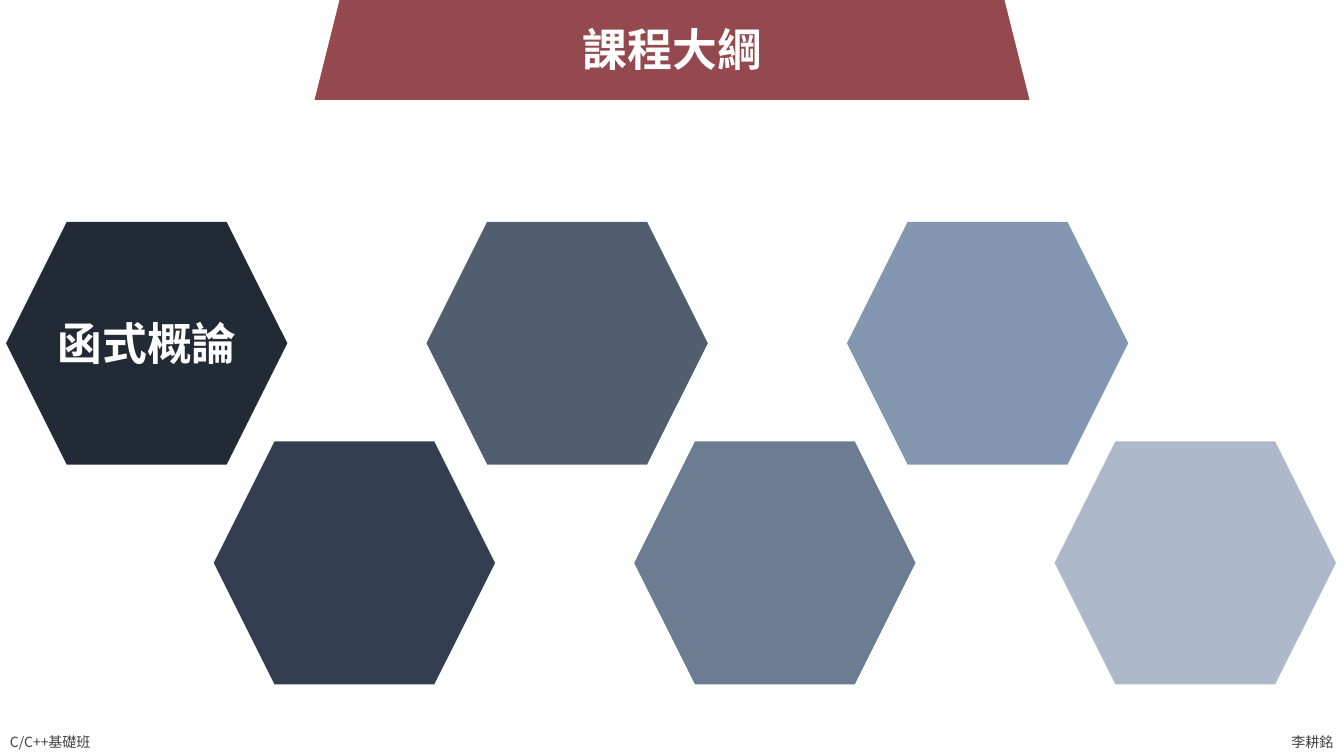
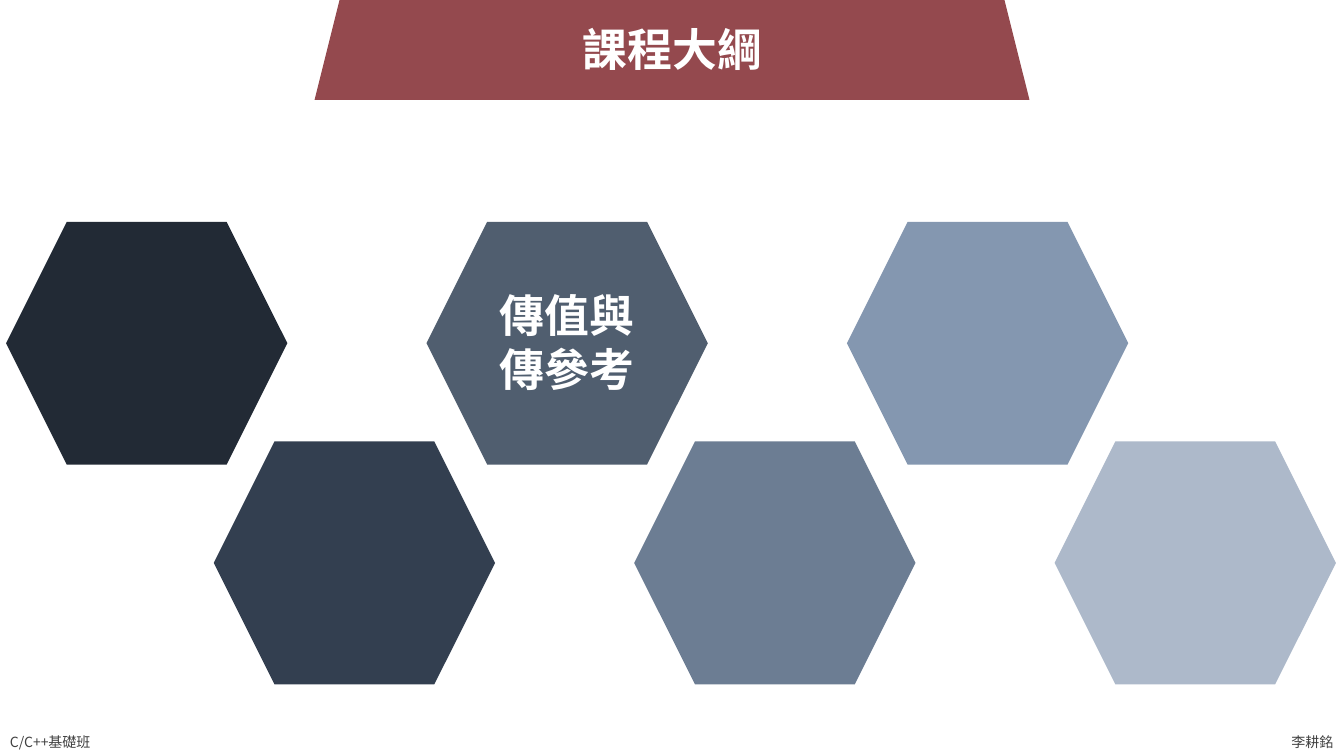
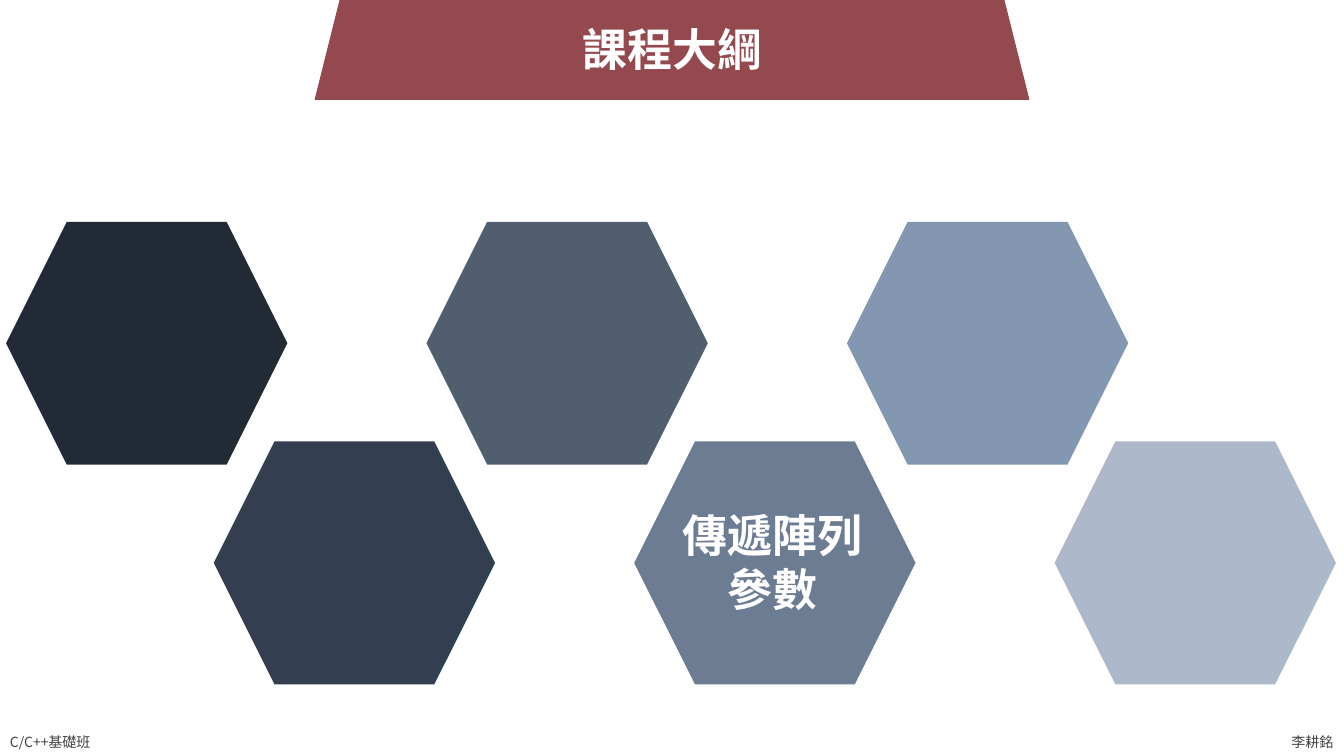
from lxml import etree
from pptx import Presentation
from pptx.dml.color import RGBColor
from pptx.enum.shapes import MSO_SHAPE
from pptx.enum.text import MSO_ANCHOR, MSO_AUTO_SIZE, PP_ALIGN
from pptx.oxml.ns import qn
from pptx.util import Inches, Pt

# Content: one slide per highlighted topic (text, left, top, width, height, wrap)
TITLE = "課程大綱"
TOPICS = [
    ("函式概論", 0.46, 3.08, 2, 0.64, False),
    ("傳值與傳參考", 4.65, 2.81, 1.95, 1.18, True),
    ("傳遞陣列參數", 6.58, 4.99, 2.16, 1.18, True),
]
# Footer text, left, width, anchor
FOOTERS = [
    ("C/C++基礎班", 0, 1.07, MSO_ANCHOR.TOP),
    ("李耕銘", 12.71, 0.62, MSO_ANCHOR.MIDDLE),
]

# Shared style
FONT = "Noto Sans CJK TC"
WHITE, GREY, BAND = "FFFFFF", "404040", "94494E"

# Hexagon grid: fills alternate between the upper and lower row
HEX_FILLS = ["222A35", "333F50", "505E6F", "6C7D93", "8497B0", "ADB9CA"]
HEX_WIDTH, HEX_HEIGHT = 2.79, 2.41
ROW_STARTS = [(0.06, 2.2), (2.12, 4.38)]
COLUMN_STEP = 4.17


def color(hex_string):
    return RGBColor.from_string(hex_string)


def add_filled(page, kind, left, top, width, height, fill):
    shape = page.shapes.add_shape(
        kind, Inches(left), Inches(top), Inches(width), Inches(height))
    shape.shadow.inherit = False
    shape.fill.solid()
    shape.fill.fore_color.rgb = color(fill)
    shape.line.fill.background()


def add_text(page, text, left, top, width, height, wrap=False, size=10,
             text_color=GREY, bold=False, align=PP_ALIGN.LEFT,
             anchor=MSO_ANCHOR.TOP):
    box = page.shapes.add_textbox(
        Inches(left), Inches(top), Inches(width), Inches(height))
    frame = box.text_frame
    frame.word_wrap = wrap
    frame.auto_size = MSO_AUTO_SIZE.SHAPE_TO_FIT_TEXT
    frame.vertical_anchor = anchor
    para = frame.paragraphs[0]
    para.text = text
    para.alignment = align
    font = para.font
    font.name, font.size, font.bold = FONT, Pt(size), bold
    font.color.rgb = color(text_color)
    # East Asian typeface follows the Latin one
    latin = para._p.find(".//" + qn("a:latin"))
    latin.addnext(etree.Element(qn("a:ea"), typeface=FONT))


def add_heading(page, text, left, top, width, height, wrap=False):
    add_text(page, text, left, top, width, height, wrap, size=32,
             text_color=WHITE, bold=True, align=PP_ALIGN.CENTER)


def add_frame(page):
    """Footers, title band and title."""
    for text, left, width, anchor in FOOTERS:
        add_text(page, text, left, 7.23, width, 0.27, anchor=anchor)
    add_filled(page, MSO_SHAPE.TRAPEZOID, 3.12, -0.23, 7.09, 1.22, BAND)
    add_heading(page, TITLE, 5.67, 0.17, 2, 0.64)


def add_hexagons(page):
    for index, fill in enumerate(HEX_FILLS):
        column, row = divmod(index, 2)
        start, top = ROW_STARTS[row]
        add_filled(page, MSO_SHAPE.HEXAGON, start + column * COLUMN_STEP, top,
                   HEX_WIDTH, HEX_HEIGHT, fill)


def main():
    deck = Presentation()
    deck.slide_width, deck.slide_height = Inches(13.33), Inches(7.5)
    for topic in TOPICS:
        page = deck.slides.add_slide(deck.slide_layouts[6])
        add_frame(page)
        add_hexagons(page)
        add_heading(page, *topic)
    deck.save("out.pptx")


if __name__ == "__main__":
    main()
